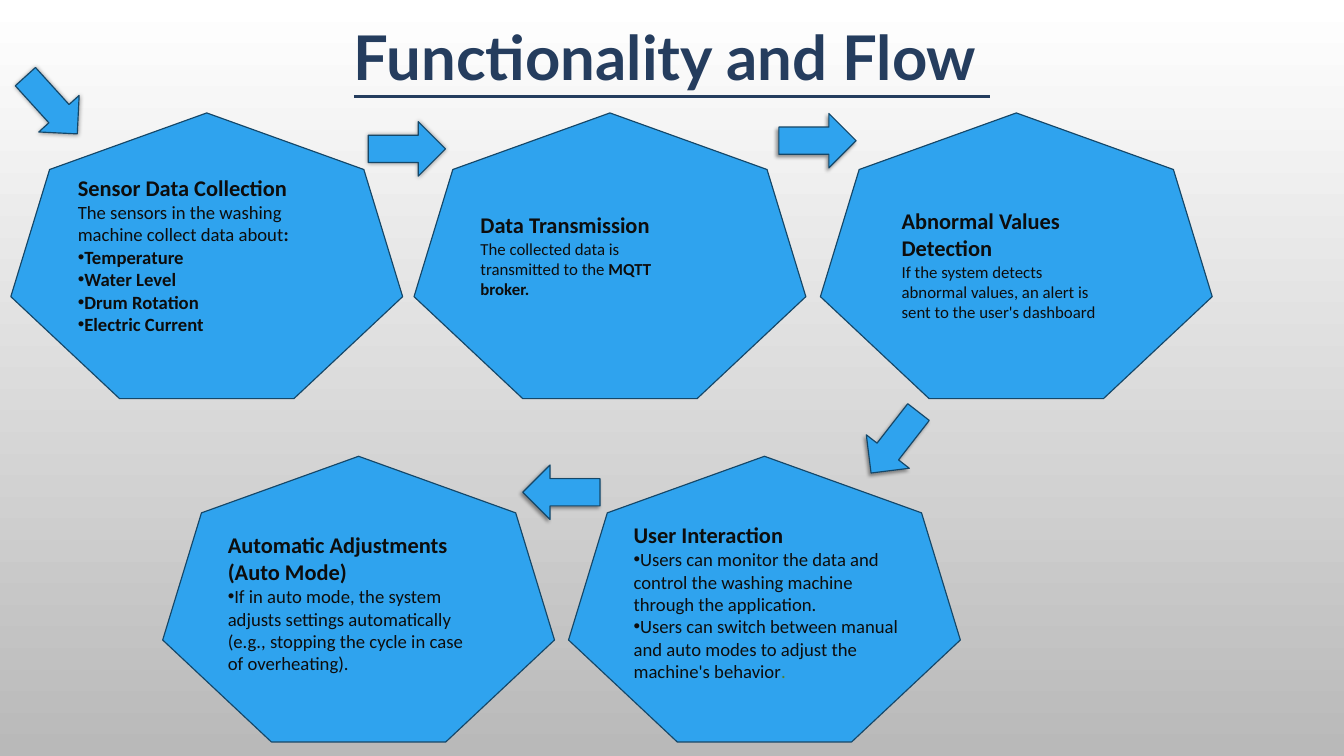
"""Build the washing machine functionality and flow slide."""
from dataclasses import dataclass

from lxml import etree
from pptx import Presentation, util as u
from pptx.dml.color import RGBColor
from pptx.enum import shapes, text
from pptx.oxml import ns


@dataclass(frozen=True)
class Theme:
    sky: str = "2FA3EE"
    outline: str = "154768"
    navy: str = "253D5E"
    ink: str = "0D0D0D"
    olive: str = "527E2E"
    background: tuple = ("FFFFFF", "B9B9B9")
    title_font: str = "Lato"
    body_font: str = "Calibri"
    title: float = 66
    heading: float = 24
    body: float = 20
    small: float = 18


theme = Theme()


def add_run(paragraph, words, size, bold=False, color=theme.ink, font=theme.body_font):
    run = paragraph.add_run()
    run.text = words
    run.font.name = font
    run.font.size = u.Pt(size)
    run.font.bold = bold
    run.font.color.rgb = RGBColor.from_string(color)
    return run


def add_flow_shape(kind, left, top, width, height):
    shape = slide.shapes.add_shape(kind, u.Cm(left), u.Cm(top), u.Cm(width), u.Cm(height))
    shape.shadow.inherit = False
    shape.fill.solid()
    shape.fill.fore_color.rgb = RGBColor.from_string(theme.sky)
    shape.line.color.rgb = RGBColor.from_string(theme.outline)
    shape.line.width = u.Pt(1.25)
    return shape


presentation = Presentation()
presentation.slide_width = u.Cm(50.8)
presentation.slide_height = u.Cm(28.58)
slide = presentation.slides.add_slide(presentation.slide_layouts[5])

background = slide.background.fill
background.gradient()
background.gradient_angle = 270
for stop, color in zip(background.gradient_stops, theme.background):
    stop.color.rgb = RGBColor.from_string(color)

title = slide.shapes.title
title.left, title.top, title.width, title.height = u.Cm(8.26), u.Cm(-0.28), u.Cm(34.29), u.Cm(4.8)
frame = title.text_frame
frame.margin_left = frame.margin_top = frame.margin_right = frame.margin_bottom = 0
frame.vertical_anchor = text.MSO_ANCHOR.MIDDLE
frame.auto_size = text.MSO_AUTO_SIZE.NONE
frame.word_wrap = True
paragraph = frame.paragraphs[0]
paragraph.alignment = text.PP_ALIGN.CENTER
paragraph.line_spacing = u.Pt(79.2)
run = add_run(paragraph, "Functionality and Flow ", theme.title, True, theme.navy, theme.title_font)
run.font.underline = True

upper_row, lower_row = 4.27, 17.25
stages = [
    (0.41, upper_row, (2.69, 6.45, 9.83, 7.19), "Sensor Data Collection",
     [("The sensors in the washing machine collect data about", theme.body, False),
      (":", theme.body, True)],
     [[(item, theme.body, True)]
      for item in ("Temperature", "Water Level", "Drum Rotation", "Electric Current")]),
    (15.65, upper_row, (17.91, 7.87, 8.36, 3.58), "Data Transmission",
     [("The collected data is transmitted to the ", theme.small, False),
      ("MQTT broker.", theme.small, True)], []),
    (31.01, upper_row, (33.83, 7.72, 8.36, 4.62), "Abnormal Values Detection",
     [("If the system detects abnormal values, an alert is sent to the user's dashboard",
       theme.small, False)], []),
    (21.49, lower_row, (23.7, 19.58, 10.69, 7.95), "User Interaction", [],
     [[("Users can monitor the data and control the washing machine through the application.",
        theme.body)],
      [("Users can switch between manual and auto modes to adjust the machine's behavior",
        theme.body),
       (".", theme.body, False, theme.olive)]]),
    (6.15, lower_row, (8.36, 19.96, 9.75, 5.74), "Automatic Adjustments (Auto Mode)", [],
     [[("If in auto mode, the system adjusts settings automatically "
        "(e.g., stopping the cycle in case of overheating).", theme.body)]]),
]

for left, top, text_area, heading, introduction, bullets in stages:
    add_flow_shape(shapes.MSO_SHAPE.HEPTAGON, left, top, 14.81, 10.8)
    box = slide.shapes.add_textbox(*map(u.Cm, text_area))
    frame = box.text_frame
    frame.word_wrap = True
    frame.auto_size = text.MSO_AUTO_SIZE.SHAPE_TO_FIT_TEXT
    paragraph = frame.paragraphs[0]
    add_run(paragraph, heading, theme.heading, True)
    if introduction:
        paragraph.add_line_break()
    for portion in introduction:
        add_run(paragraph, *portion)
    for bullet in bullets:
        paragraph = frame.add_paragraph()
        properties = paragraph._p.get_or_add_pPr()
        properties.set("marL", "0")
        properties.set("indent", "0")
        etree.SubElement(properties, ns.qn("a:buFont"), typeface="Arial")
        etree.SubElement(properties, ns.qn("a:buChar"), char="•")
        for portion in bullet:
            add_run(paragraph, *portion)

glow, drop = (5, 0, 0), (4, 3, 135)
arrows = [
    (0.48, 2.95, 47.8, glow),
    (13.92, 4.6, 0, glow),
    (29.44, 4.29, 0, drop),
    (32.36, 15.7, 127.9, drop),
    (19.76, 17.58, 180, drop),
]
for left, top, rotation, (blur, distance, direction) in arrows:
    arrow = add_flow_shape(shapes.MSO_SHAPE.RIGHT_ARROW, left, top, 2.92, 2.06)
    arrow.rotation = rotation
    effects = arrow._element.spPr.find(ns.qn("a:effectLst"))
    shadow = etree.SubElement(
        effects, ns.qn("a:outerShdw"), blurRad=str(u.Pt(blur)), dist=str(u.Pt(distance)),
        dir=str(direction * 60000), rotWithShape="0")
    shade = etree.SubElement(shadow, ns.qn("a:srgbClr"), val="000000")
    etree.SubElement(shade, ns.qn("a:alpha"), val="40000")

presentation.save("out.pptx")
